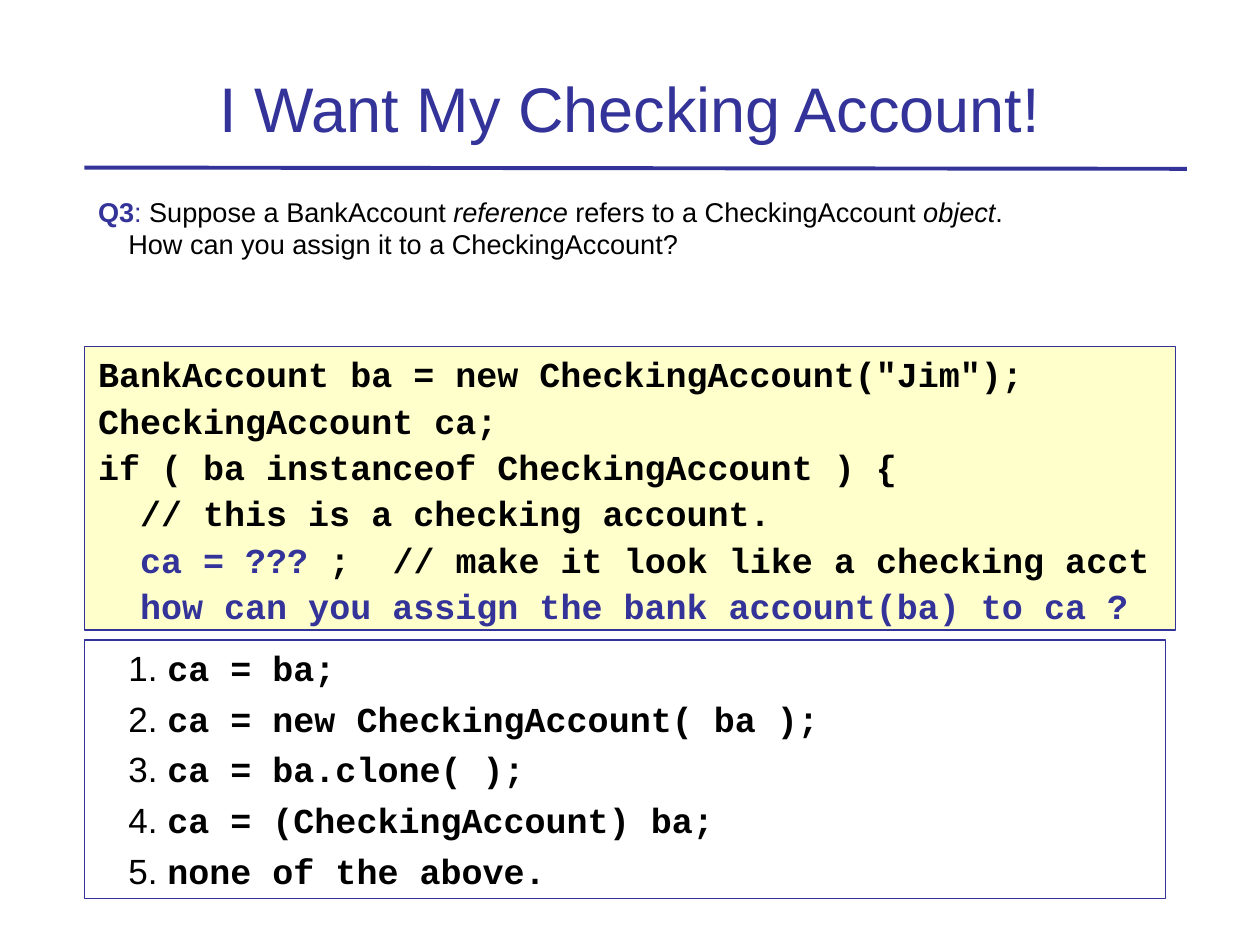
from pptx import Presentation
from pptx import util as u
from pptx.dml.color import RGBColor
from pptx.enum import shapes, text
from pptx.oxml.ns import qn
from lxml import etree

BLUE, BLACK, CREAM = "333399", "000000", "FFFFCC"
SANS, MONO = "Arial", "Courier New"
LEFT, WIDTH = 0.67, 8.66


def colour(value):
    return RGBColor.from_string(value)


def add_run(paragraph, words, size, font=SANS, fill=BLACK, bold=False, italic=False):
    run = paragraph.add_run()
    run.text = words
    run.font.size = u.Pt(size)
    run.font.name = font
    run.font.bold = bold
    run.font.italic = italic
    run.font.color.rgb = colour(fill)


def prepare_frame(frame, anchor=text.MSO_ANCHOR.TOP):
    frame.word_wrap = True
    frame.auto_size = text.MSO_AUTO_SIZE.NONE
    frame.vertical_anchor = anchor


def next_paragraph(frame, index, margin, indent, gap):
    paragraph = frame.add_paragraph() if index else frame.paragraphs[0]
    paragraph.alignment = text.PP_ALIGN.LEFT
    paragraph.space_before = u.Pt(gap if index else 0)
    properties = paragraph._p.get_or_add_pPr()
    properties.set("marL", str(u.Inches(margin)))
    properties.set("indent", str(u.Inches(indent)))
    return paragraph


def add_panel(slide, box, line_width, fill=None):
    panel = slide.shapes.add_shape(shapes.MSO_SHAPE.RECTANGLE, *map(u.Inches, box))
    panel.shadow.inherit = False
    if fill:
        panel.fill.solid()
        panel.fill.fore_color.rgb = colour(fill)
    else:
        panel.fill.background()
    panel.line.color.rgb = colour(BLUE)
    panel.line.width = u.Pt(line_width)
    prepare_frame(panel.text_frame)
    return panel.text_frame


def add_heading(slide, box, words):
    title = slide.shapes.title
    title.left, title.top, title.width, title.height = map(u.Inches, box)
    prepare_frame(title.text_frame, text.MSO_ANCHOR.BOTTOM)
    paragraph = title.text_frame.paragraphs[0]
    paragraph.alignment = text.PP_ALIGN.CENTER
    add_run(paragraph, words, 36, fill=BLUE)


def add_rule(slide, start, end):
    rule = slide.shapes.add_connector(
        shapes.MSO_CONNECTOR.STRAIGHT, *map(u.Inches, start + end))
    rule.line.color.rgb = colour(BLUE)
    rule.line.width = u.Pt(2.25)
    etree.SubElement(rule._element.spPr, qn("a:effectLst"))


def add_question(slide, box):
    frame = slide.shapes.add_textbox(*map(u.Inches, box)).text_frame
    prepare_frame(frame)
    paragraph = next_paragraph(frame, 0, 0.25, -0.24, 0)
    size = 15.5
    add_run(paragraph, "Q3", size, fill=BLUE, bold=True)
    add_run(paragraph, ":", size, fill=BLUE)
    add_run(paragraph, " Suppose a BankAccount ", size)
    add_run(paragraph, "reference", size, italic=True)
    add_run(paragraph, " refers to a CheckingAccount ", size)
    add_run(paragraph, "object", size, italic=True)
    add_run(paragraph, ".", size)
    paragraph.add_line_break()
    add_run(paragraph, "How can you assign it to a CheckingAccount?", size)


def add_code(slide, box, lines):
    frame = add_panel(slide, box, 1, CREAM)
    for index, line in enumerate(lines):
        paragraph = next_paragraph(frame, index, 0.25, -0.24, 2.5)
        for words, fill in line:
            add_run(paragraph, words, 20, MONO, fill, bold=True)


def add_answers(slide, box, answers):
    frame = add_panel(slide, box, 0.75)
    for index, answer in enumerate(answers):
        paragraph = next_paragraph(frame, index, 0.37, -0.12, 5)
        add_run(paragraph, f"{index + 1}. ", 20)
        add_run(paragraph, answer, 20, MONO, bold=True)


CODE = [
    [('BankAccount ba = new CheckingAccount("Jim");', BLACK)],
    [("CheckingAccount ca;", BLACK)],
    [("if ( ba instanceof CheckingAccount ) {", BLACK)],
    [("  // this is a checking account.", BLACK)],
    [("  ", BLACK), ("ca = ???", BLUE),
     (" ;  // make it look like a checking acct", BLACK)],
    [("  ", BLACK), ("how can you assign the bank account(ba) to ca ?", BLUE)],
]
ANSWERS = [
    "ca = ba;",
    "ca = new CheckingAccount( ba );",
    "ca = ba.clone( );",
    "ca = (CheckingAccount) ba;",
    "none of the above.",
]


def main():
    presentation = Presentation()
    presentation.slide_width = u.Inches(10)
    presentation.slide_height = u.Inches(7.5)
    slide = presentation.slides.add_slide(presentation.slide_layouts[5])

    # Heading and its rule
    add_rule(slide, (LEFT, 1.33), (9.42, 1.34))
    add_heading(slide, (LEFT, 0.25, WIDTH, 0.95), "I Want My Checking Account!")

    # Question, code and possible answers
    add_question(slide, (LEFT, 1.5, WIDTH, 0.67))
    add_code(slide, (LEFT, 2.75, WIDTH, 2.25), CODE)
    add_answers(slide, (LEFT, 5.08, 8.58, 2.05), ANSWERS)

    presentation.save("out.pptx")


if __name__ == "__main__":
    main()
